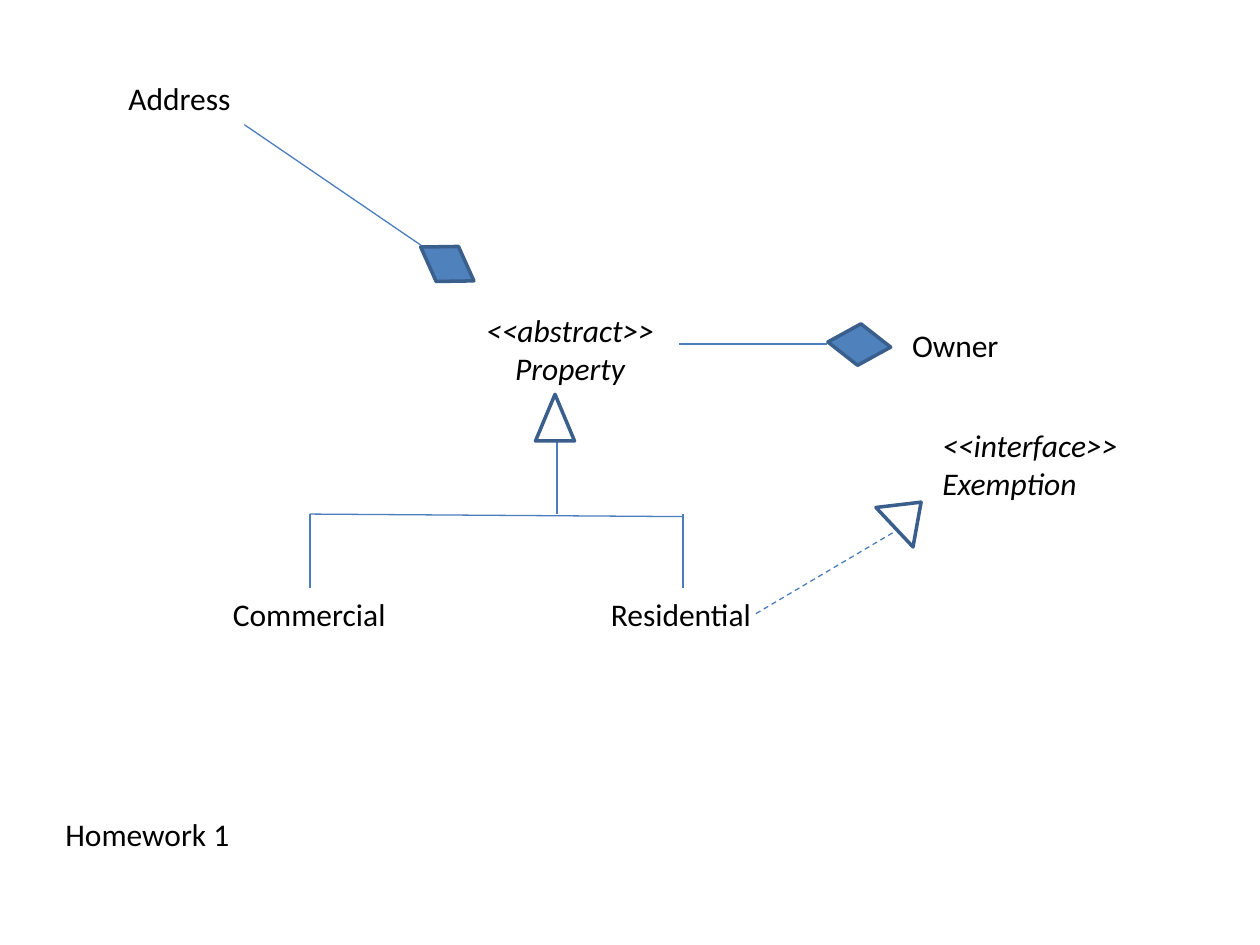
from pptx import Presentation
from pptx.dml.color import RGBColor
from pptx.enum.dml import MSO_LINE
from pptx.enum.shapes import MSO_CONNECTOR, MSO_SHAPE
from pptx.enum.text import MSO_AUTO_SIZE, PP_ALIGN
from pptx.oxml.ns import qn
from pptx.util import Inches, Pt
from lxml import etree

STRAIGHT = MSO_CONNECTOR.STRAIGHT
DIAMOND = MSO_SHAPE.DIAMOND
TRIANGLE = MSO_SHAPE.ISOSCELES_TRIANGLE
DASH = MSO_LINE.DASH
FIT_SHAPE = MSO_AUTO_SIZE.SHAPE_TO_FIT_TEXT
LEFT, CENTER = PP_ALIGN.LEFT, PP_ALIGN.CENTER

COLORS = {"text": "000000", "fill": "4F81BD", "outline": "3A5F8C", "line": "4B7EBC"}
COLUMNS, ROWS = 100, 75


def color(name):
    """Return the named palette colour."""
    return RGBColor.from_string(COLORS[name])


def write_text(frame, text, font="Calibri", size=18, italic=False, align=LEFT):
    """Write one paragraph per line of text in the given format."""
    for index, line in enumerate(text.split("\n")):
        paragraph = frame.paragraphs[0] if index == 0 else frame.add_paragraph()
        paragraph.alignment = align
        run = paragraph.add_run()
        run.text = line
        run.font.name = font
        run.font.size = Pt(size)
        run.font.italic = italic
        run.font.color.rgb = color("text")


class ClassDiagram:
    """Draws class diagram elements on a slide grid of columns and rows."""

    def __init__(self, presentation):
        """Add a blank slide and measure its grid."""
        self.slide = presentation.slides.add_slide(presentation.slide_layouts[6])
        self.column = presentation.slide_width / COLUMNS
        self.row = presentation.slide_height / ROWS

    def place(self, *lengths):
        """Turn alternating columns and rows into slide lengths."""
        units = (self.column, self.row) * 2
        return [round(length * unit) for length, unit in zip(lengths, units)]

    def label(self, text, left, top, width, **text_format):
        """Add a text label whose height follows its number of lines."""
        height = 4 + 3.1 * text.count("\n")
        shape = self.slide.shapes.add_textbox(*self.place(left, top, width, height))
        shape.text_frame.word_wrap = False
        shape.text_frame.auto_size = FIT_SHAPE
        write_text(shape.text_frame, text, **text_format)

    def line(self, start, end, dash=None):
        """Add a thin relation line between two grid points."""
        connector = self.slide.shapes.add_connector(STRAIGHT, *self.place(*start, *end))
        connector.line.color.rgb = color("line")
        connector.line.width = Pt(0.75)
        if dash is not None:
            connector.line.dash_style = dash
        properties = connector._element.find(qn("p:spPr"))
        etree.SubElement(properties, qn("a:effectLst"))

    def symbol(self, kind, box, rotation=0, fill=None):
        """Add an outlined relation symbol, hollow unless a fill is named."""
        shape = self.slide.shapes.add_shape(kind, *self.place(*box))
        shape.shadow.inherit = False
        shape.rotation = rotation
        shape.line.color.rgb = color("outline")
        shape.line.width = Pt(2)
        if fill:
            shape.fill.solid()
            shape.fill.fore_color.rgb = color(fill)
        else:
            shape.fill.background()


presentation = Presentation()
presentation.slide_width, presentation.slide_height = Inches(10), Inches(7.5)
diagram = ClassDiagram(presentation)

diagram.label("Address", 9.2, 5.8, 10.2)
diagram.label("<<interface>>\nExemption", 73.8, 33.3, 16.2, italic=True)
diagram.label("Owner", 71.4, 25.4, 9)
diagram.label("<<abstract>>\nProperty", 37.5, 24.2, 15.5, italic=True, align=CENTER)
diagram.label("Commercial", 17.5, 46.7, 14.3)
diagram.label("Residential", 47.5, 46.7, 13.3)

diagram.line((19.4, 9.9), (34.2, 20))
diagram.symbol(DIAMOND, (33, 19.3, 5, 3.3), rotation=32.5, fill="fill")
diagram.line((53.9, 27.3), (65.6, 27.3))
diagram.symbol(DIAMOND, (65.7, 25.7, 5, 3.3), rotation=4.7, fill="fill")

commercial, residential, parent = 24.6, 54.2, 44.2
branch, child_top = 40.8, 46.7
diagram.line((commercial, branch), (residential, branch + 0.2))
for child in (commercial, residential):
    diagram.line((child, branch), (child, child_top))
diagram.line((parent, 35), (parent, branch))
diagram.symbol(TRIANGLE, (42.5, 31.3, 3.1, 3.7))

diagram.line((60, 48.7), (71, 42.2), dash=DASH)
diagram.symbol(TRIANGLE, (69.9, 39.4, 4.3, 2.9), rotation=46.8)
diagram.label("Homework 1", 4.2, 64.2, 15.2)

presentation.save("out.pptx")
